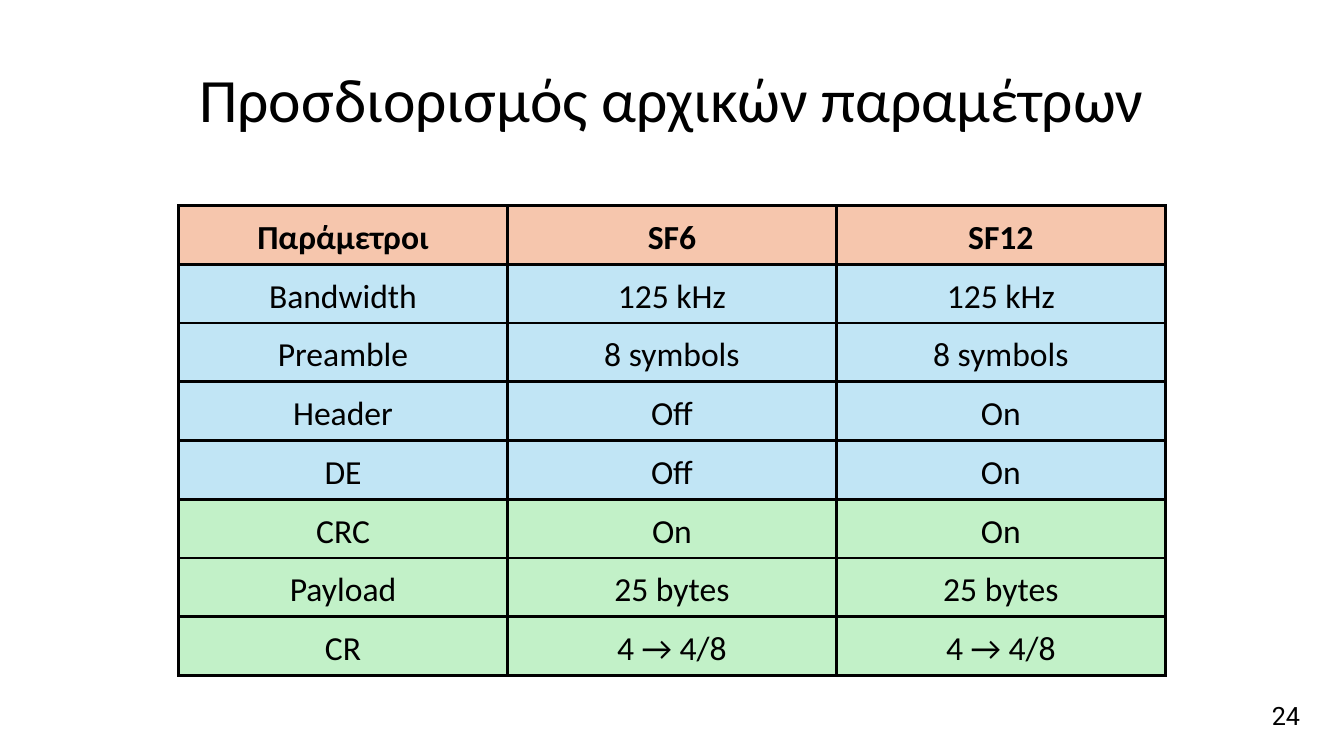
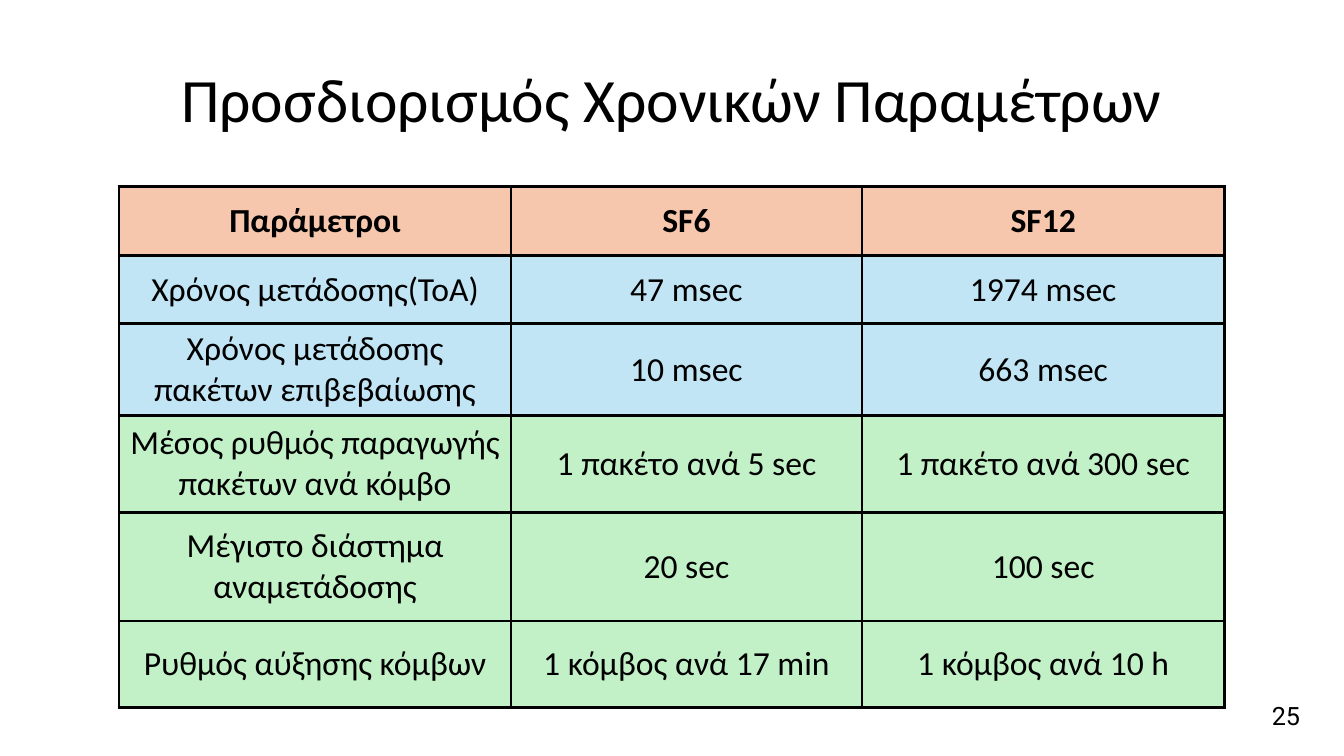
from lxml import etree
from pptx import Presentation
from pptx.dml.color import RGBColor
from pptx.enum.text import MSO_ANCHOR, PP_ALIGN
from pptx.oxml.ns import qn
from pptx.util import Cm, Pt

MID = MSO_ANCHOR.MIDDLE
TOP = MSO_ANCHOR.TOP
CENTER = PP_ALIGN.CENTER

BLACK = RGBColor(0x00, 0x00, 0x00)
PEACH = RGBColor(0xF6, 0xC6, 0xAD)
BLUE = RGBColor(0xC1, 0xE5, 0xF5)
GREEN = RGBColor(0xC2, 0xF1, 0xC8)

TITLE = {"name": "Calibri", "size": Pt(44)}
HEAD = {"name": "Calibri", "size": Pt(24), "bold": True}
BODY = {"name": "Calibri", "size": Pt(24), "bold": False}
PAGE = {"name": "Roboto", "size": Pt(18)}

SLIDES = [
    {
        "title": "Προσδιορισμός αρχικών παραμέτρων",
        "page": "24",
        "at": (4.5, 5.18),
        "cols": [8.29] * 3,
        "rows": [1.48] * 8,
        "pad": (0.18, 0),
        "space": 1.15,
        "blue": 4,
        "cells": [
            ("Παράμετροι", "SF6", "SF12"),
            ("Bandwidth", "125 kHz", "125 kHz"),
            ("Preamble", "8 symbols", "8 symbols"),
            ("Header", "Off", "On"),
            ("DE", "Off", "On"),
            ("CRC", "On", "On"),
            ("Payload", "25 bytes", "25 bytes"),
            ("CR", "4 → 4/8", "4 → 4/8"),
        ],
    },
    {
        "title": "Προσδιορισμός Χρονικών Παραμέτρων",
        "page": "25",
        "at": (3, 4.7),
        "cols": [9.88, 8.84, 9.14],
        "rows": [1.74, 1.72, 2.31, 2.44, 2.74, 2.18],
        "pad": (0.25, 0.13),
        "space": 1.0,
        "blue": 2,
        "cells": [
            ("Παράμετροι", "SF6", "SF12"),
            ("Χρόνος μετάδοσης(ToA)", "47 msec", "1974 msec"),
            ("Χρόνος μετάδοσης πακέτων επιβεβαίωσης", "10 msec", "663 msec"),
            ("Μέσος ρυθμός παραγωγής πακέτων ανά κόμβο",
             "1 πακέτο ανά 5 sec", "1 πακέτο ανά 300 sec"),
            ("Μέγιστο διάστημα αναμετάδοσης", "20 sec", "100 sec"),
            ("Ρυθμός αύξησης κόμβων", "1 κόμβος ανά 17 min", "1 κόμβος ανά 10 h"),
        ],
    },
]


def write(frame, text, style, space=1.0):
    para = frame.paragraphs[0]
    para.alignment = CENTER
    para.line_spacing = space
    run = para.add_run()
    run.text = text
    for key, value in style.items():
        setattr(run.font, key, value)
    run.font.color.rgb = BLACK


def border(cell):
    props = cell._tc.get_or_add_tcPr()
    for side in ("lnL", "lnR", "lnT", "lnB"):
        line = etree.SubElement(props, qn("a:" + side), w=str(Pt(2.25)))
        fill = etree.SubElement(line, qn("a:solidFill"))
        etree.SubElement(fill, qn("a:srgbClr"), val=str(BLACK))


deck = Presentation()
deck.slide_width = Cm(33.87)
deck.slide_height = Cm(19.05)
blank = deck.slide_layouts[6]

for data in SLIDES:
    slide = deck.slides.add_slide(blank)

    for text, area, style, anchor, wrap, space in (
        (data["title"], (2.33, 0.74, 29.21, 3.68), TITLE, MID, True, 0.9),
        (data["page"], (31.8, 17.53, 1.22, 1.02), PAGE, TOP, False, 1.0),
    ):
        frame = slide.shapes.add_textbox(*map(Cm, area)).text_frame
        frame.word_wrap = wrap
        frame.vertical_anchor = anchor
        write(frame, text, style, space)

    cols, rows = data["cols"], data["rows"]
    size = (sum(cols), sum(rows))
    table = slide.shapes.add_table(
        len(rows), len(cols), *map(Cm, data["at"] + size)).table
    table.first_row = False
    table.horz_banding = False
    for col, width in zip(table.columns, cols):
        col.width = Cm(width)
    for row, height in zip(table.rows, rows):
        row.height = Cm(height)

    side, edge = map(Cm, data["pad"])
    cell_format = {
        "margin_left": side,
        "margin_right": side,
        "margin_top": edge,
        "margin_bottom": edge,
        "vertical_anchor": MID,
    }
    for r, texts in enumerate(data["cells"]):
        tint = PEACH if r == 0 else BLUE if r <= data["blue"] else GREEN
        for c, text in enumerate(texts):
            cell = table.cell(r, c)
            for key, value in cell_format.items():
                setattr(cell, key, value)
            border(cell)
            cell.fill.solid()
            cell.fill.fore_color.rgb = tint
            write(cell.text_frame, text, BODY if r else HEAD, data["space"])

deck.save("out.pptx")
